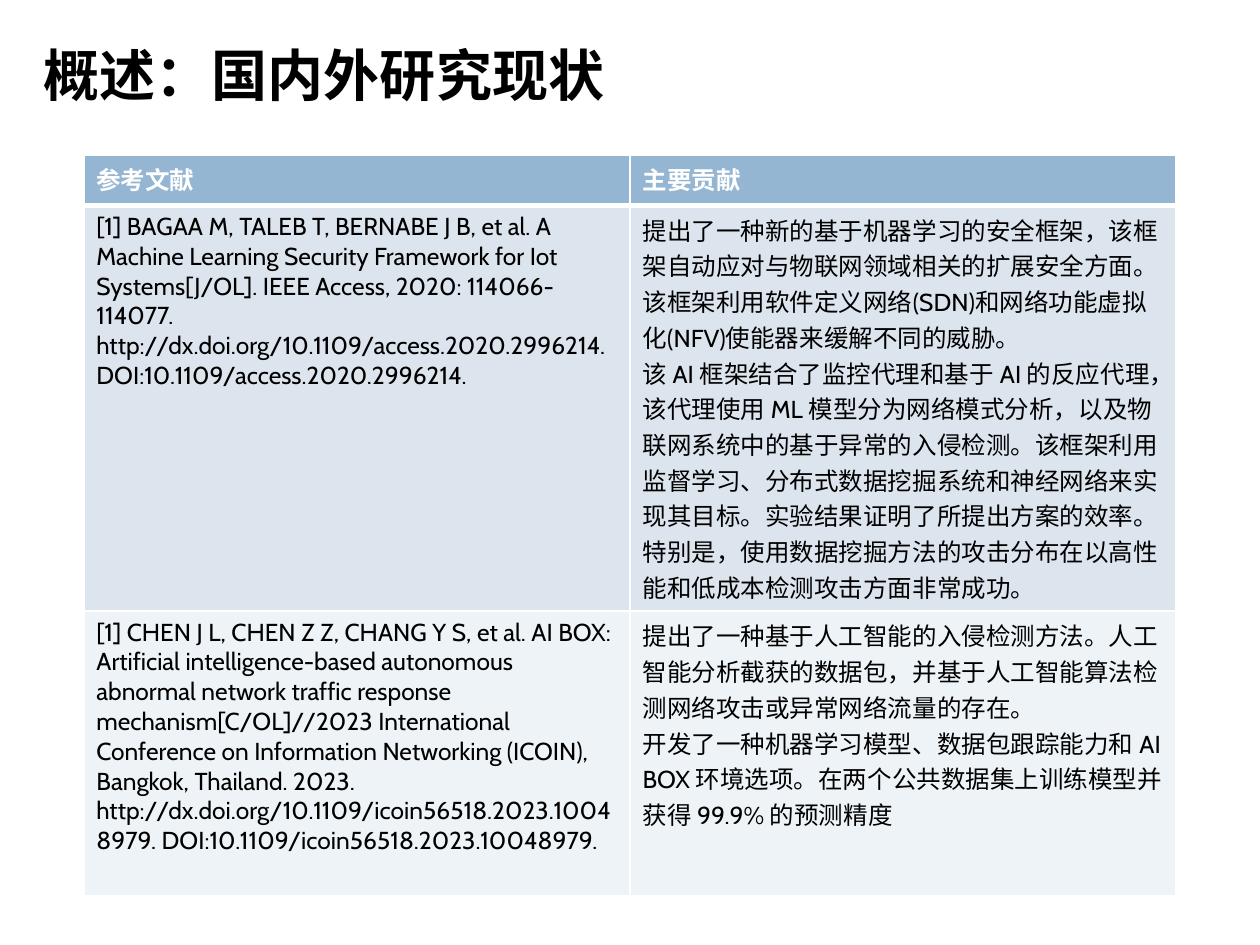
from typing import NamedTuple

from lxml import etree
from pptx import Presentation
from pptx.dml.color import RGBColor
from pptx.enum import text
from pptx.oxml import ns
from pptx.util import Inches, Pt

WHITE = RGBColor(0xFF, 0xFF, 0xFF)
BLACK = RGBColor(0, 0, 0)
BLUE = RGBColor(0x94, 0xB6, 0xD2)
PALE = RGBColor(0xDC, 0xE5, 0xEE)
MIST = RGBColor(0xEE, 0xF3, 0xF7)
HAN = "Noto Sans CJK SC"
WIDE, HIGH = Inches(10), Inches(7.5)

TITLE = {"name": HAN, "size": Pt(32), "bold": True}
HEAD = {"name": "Cabin", "size": Pt(14), "bold": True}
BODY = {**HEAD, "bold": False}


class Row(NamedTuple):
    height: float
    fill: RGBColor
    ink: RGBColor
    style: dict
    rule: float
    cells: tuple[str, str]


ROWS = [
    Row(0.4, BLUE, WHITE, HEAD, 3, ("参考文献", "主要贡献")),
    Row(3.22, PALE, BLACK, BODY, 1, (
        "[1] BAGAA M, TALEB T, BERNABE J B, et al. A Machine Learning Security "
        "Framework for Iot Systems[J/OL]. IEEE Access, 2020: 114066-114077. "
        "http://dx.doi.org/10.1109/access.2020.2996214. "
        "DOI:10.1109/access.2020.2996214.",
        "提出了一种新的基于机器学习的安全框架，该框架自动应对与物联网领域相关的扩展安全方面。"
        "该框架利用软件定义网络(SDN)和网络功能虚拟化(NFV)使能器来缓解不同的威胁。\n"
        "该 AI 框架结合了监控代理和基于 AI 的反应代理，该代理使用 ML 模型分为网络模式分析，"
        "以及物联网系统中的基于异常的入侵检测。该框架利用监督学习、分布式数据挖掘系统和"
        "神经网络来实现其目标。实验结果证明了所提出方案的效率。特别是，使用数据挖掘方法的"
        "攻击分布在以高性能和低成本检测攻击方面非常成功。")),
    Row(2.26, MIST, BLACK, BODY, 1, (
        "[1] CHEN J L, CHEN Z Z, CHANG Y S, et al. AI BOX: Artificial "
        "intelligence-based autonomous abnormal network traffic response "
        "mechanism[C/OL]//2023 International Conference on Information Networking "
        "(ICOIN), Bangkok, Thailand. 2023. "
        "http://dx.doi.org/10.1109/icoin56518.2023.10048979. "
        "DOI:10.1109/icoin56518.2023.10048979.",
        "提出了一种基于人工智能的入侵检测方法。人工智能分析截获的数据包，"
        "并基于人工智能算法检测网络攻击或异常网络流量的存在。\n"
        "开发了一种机器学习模型、数据包跟踪能力和 AI BOX 环境选项。"
        "在两个公共数据集上训练模型并获得 99.9% 的预测精度")),
]


def write(frame, words: str, style: dict, ink: RGBColor) -> None:
    frame.text = words
    for para in frame.paragraphs:
        for run in para.runs:
            for key, val in style.items():
                setattr(run.font, key, val)
            run.font.color.rgb = ink
            face = etree.SubElement(run.font._element, ns.qn("a:ea"))
            face.set("typeface", HAN)


def edge(cell, side: str, width: float) -> None:
    line = etree.Element(ns.qn(f"a:ln{side}"), w=str(Pt(width)))
    fill = etree.SubElement(line, ns.qn("a:solidFill"))
    etree.SubElement(fill, ns.qn("a:srgbClr"), val=str(WHITE))
    cell._tc.get_or_add_tcPr().append(line)


def head(slide, words: str) -> None:
    box = slide.shapes.add_textbox(
        int(WIDE * 0.025), Inches(0.25), Inches(6.92), Inches(0.67))
    frame = box.text_frame
    frame.word_wrap = True
    frame.vertical_anchor = text.MSO_ANCHOR.MIDDLE
    write(frame, words, TITLE, BLACK)


def grid(slide, rows: list[Row]) -> None:
    width = Inches(8.67)
    high = Inches(sum(row.height for row in rows))
    table = slide.shapes.add_table(
        len(rows), 2, (WIDE - width) // 2, Inches(1.23), width, high).table
    for at, row in enumerate(rows):
        table.rows[at].height = Inches(row.height)
        top = rows[at - 1].rule if at else 1
        for cell, words in zip(table.rows[at].cells, row.cells):
            for side, size in zip("LRTB", (1, 1, top, row.rule)):
                edge(cell, side, size)
            cell.fill.solid()
            cell.fill.fore_color.rgb = row.fill
            write(cell.text_frame, words, row.style, row.ink)


def main() -> None:
    deck = Presentation()
    deck.slide_width, deck.slide_height = WIDE, HIGH
    slide = deck.slides.add_slide(deck.slide_layouts[6])
    head(slide, "概述：国内外研究现状")
    grid(slide, ROWS)
    deck.save("out.pptx")


if __name__ == "__main__":
    main()
